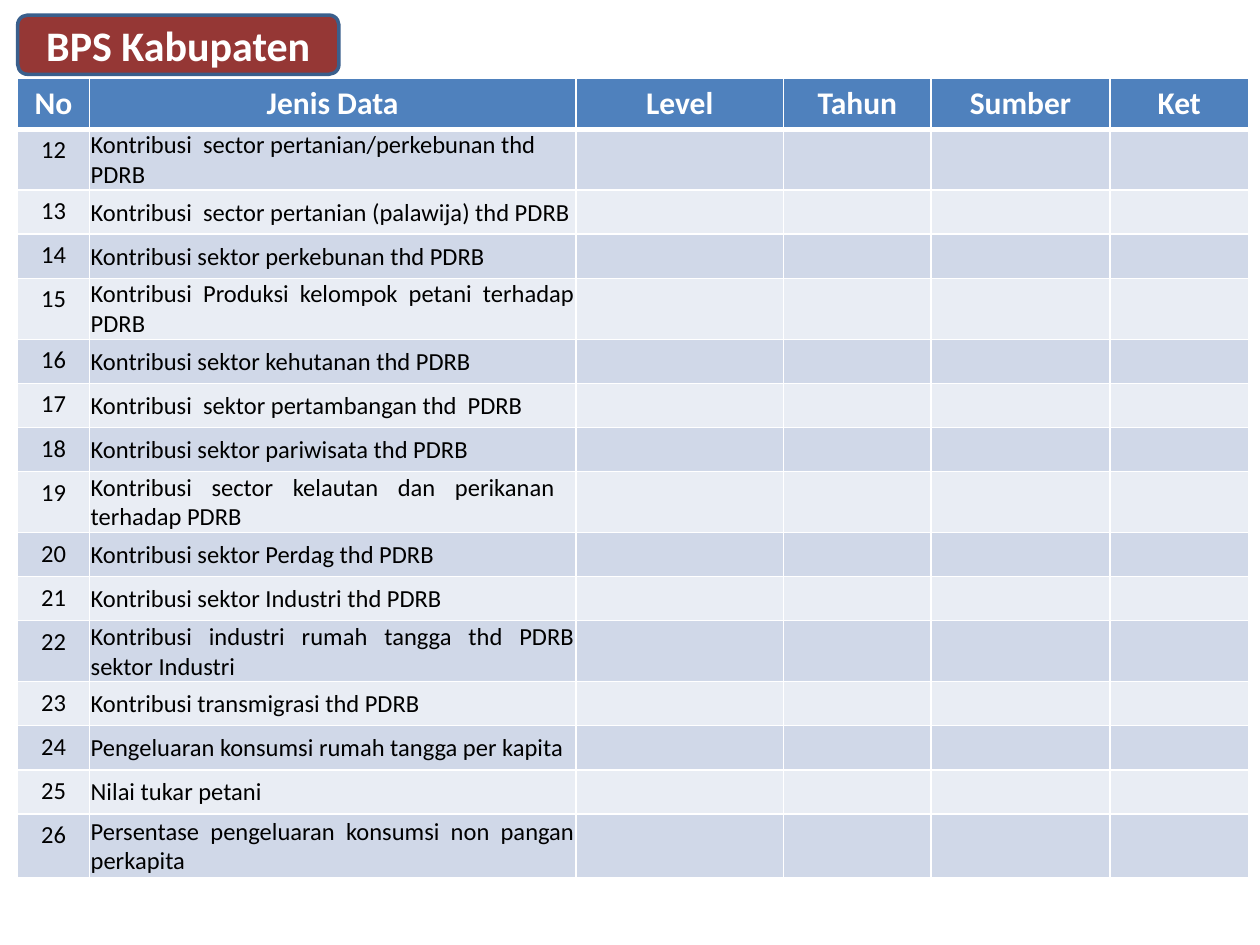
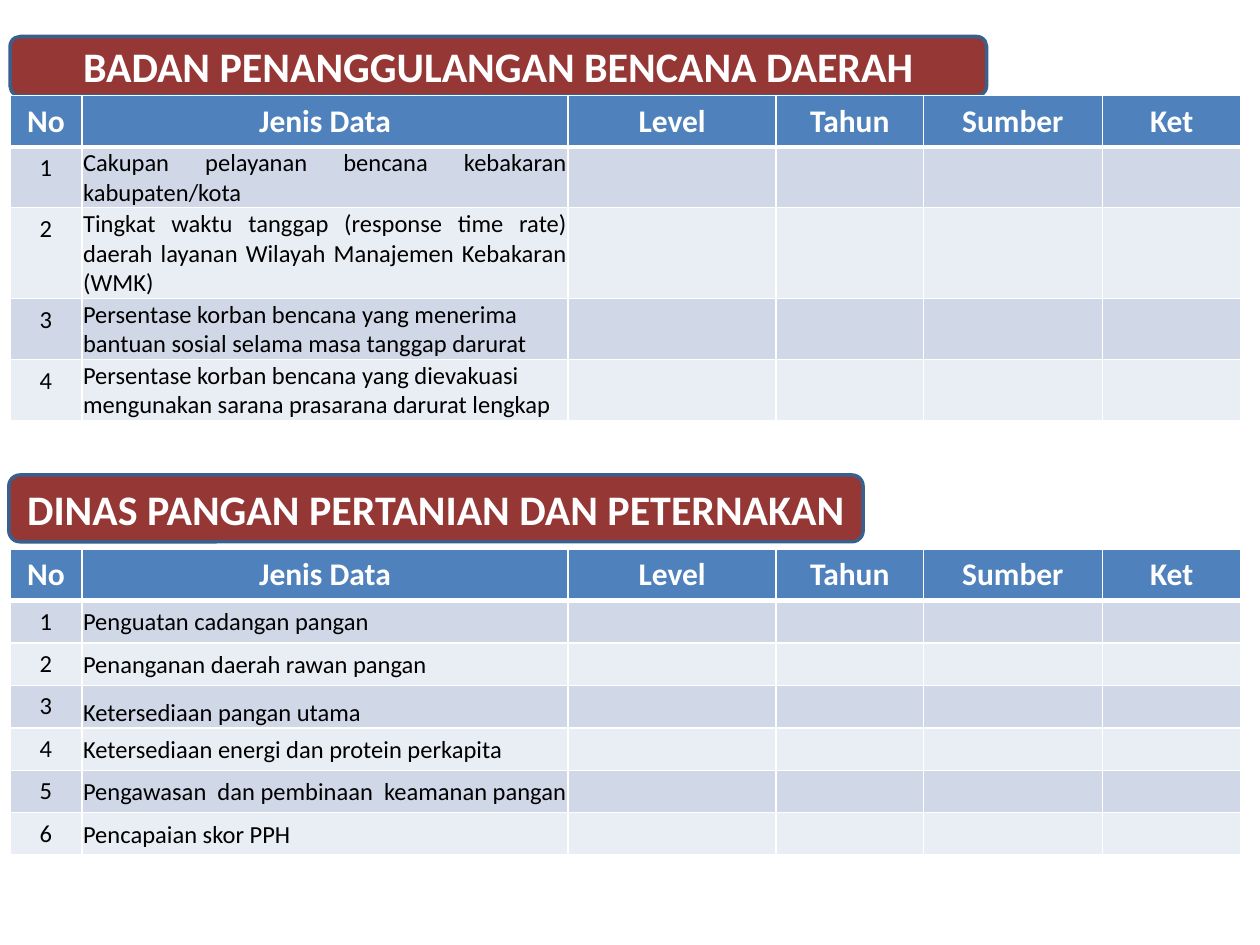
"""Build two slides of regional data tables, each headed by a rounded title band."""
from lxml import etree
from pptx import Presentation
from pptx import util as u
from pptx.dml import color
from pptx.enum import shapes, text
from pptx.oxml import ns

COLOURS = {
    "band": "953735", "band_line": "3A5F8C", "header": "4F81BD",
    "odd": "D0D8E8", "even": "E9EDF4", "white": "FFFFFF", "black": "000000",
}
FONT = "Calibri"
HEADINGS = ["No", "Jenis Data", "Level", "Tahun", "Sumber", "Ket"]
COLUMN_WIDTHS = [0.57, 3.86, 1.65, 1.17, 1.42, 1.1]
LEFT, JUSTIFY, CENTER = text.PP_ALIGN.LEFT, text.PP_ALIGN.JUSTIFY, text.PP_ALIGN.CENTER
TOP, MIDDLE, BOTTOM = text.MSO_ANCHOR.TOP, text.MSO_ANCHOR.MIDDLE, text.MSO_ANCHOR.BOTTOM
TIGHT = {"margin_left": 0.01, "margin_top": 0.01, "margin_right": 0.01, "margin_bottom": 0}

SLIDES = [
    [
        {
            "title": "BPS Kabupaten", "band": (0.14, 0.12, 2.55, 0.47),
            "table_at": (0.14, 0.62), "header_height": 0.38, "row_height": 0.35,
            "last_height": 0.51, "first_number": 12,
            "rows": [
                ("Kontribusi  sector pertanian/perkebunan thd PDRB", LEFT),
                ("Kontribusi  sector pertanian (palawija) thd PDRB", LEFT),
                ("Kontribusi sektor perkebunan thd PDRB", JUSTIFY),
                ("Kontribusi Produksi kelompok petani terhadap PDRB", JUSTIFY),
                ("Kontribusi sektor kehutanan thd PDRB", JUSTIFY),
                ("Kontribusi  sektor pertambangan thd  PDRB", LEFT),
                ("Kontribusi sektor pariwisata thd PDRB", JUSTIFY),
                ("Kontribusi sector kelautan dan perikanan  terhadap PDRB", JUSTIFY),
                ("Kontribusi sektor Perdag thd PDRB", JUSTIFY),
                ("Kontribusi sektor Industri thd PDRB", JUSTIFY),
                ("Kontribusi industri rumah tangga thd PDRB sektor Industri", JUSTIFY),
                ("Kontribusi transmigrasi thd PDRB", LEFT),
                ("Pengeluaran konsumsi rumah tangga per kapita", JUSTIFY),
                ("Nilai tukar petani", LEFT),
                ("Persentase pengeluaran konsumsi non pangan perkapita", JUSTIFY),
            ],
        },
    ],
    [
        {
            "title": "DINAS PANGAN PERTANIAN DAN PETERNAKAN", "band": (0.07, 3.77, 6.78, 0.53),
            "table_at": (0.08, 4.36), "header_height": 0.36, "row_height": 0.33,
            "last_height": 0.33, "first_number": 1,
            "rows": [
                ("Penguatan cadangan pangan", LEFT),
                ("Penanganan daerah rawan pangan", JUSTIFY),
                ("Ketersediaan pangan utama", LEFT, BOTTOM),
                ("Ketersediaan energi dan protein perkapita", JUSTIFY),
                ("Pengawasan  dan pembinaan  keamanan pangan", LEFT),
                ("Pencapaian skor PPH", LEFT),
            ],
        },
        {
            "title": "BADAN PENANGGULANGAN BENCANA DAERAH", "band": (0.08, 0.29, 7.75, 0.47),
            "table_at": (0.08, 0.76), "header_height": 0.36, "row_height": 0.33,
            "last_height": 0.33, "first_number": 1,
            "rows": [
                ("Cakupan pelayanan bencana kebakaran kabupaten/kota", JUSTIFY),
                ("Tingkat waktu tanggap (response time rate) daerah layanan "
                 "Wilayah Manajemen Kebakaran (WMK)", JUSTIFY),
                ("Persentase korban bencana yang menerima bantuan sosial "
                 "selama masa tanggap darurat", LEFT),
                ("Persentase korban bencana yang dievakuasi mengunakan "
                 "sarana prasarana darurat lengkap", LEFT),
            ],
        },
    ],
]


def rgb(name):
    return color.RGBColor.from_string(COLOURS[name])


def write(frame, words, size, ink, bold, align):
    para = frame.paragraphs[0]
    para.alignment = align
    span = para.add_run()
    span.text = words
    for key, value in {"name": FONT, "size": u.Pt(size), "bold": bold}.items():
        setattr(span.font, key, value)
    span.font.color.rgb = rgb(ink)


def add_band(page, title, place):
    band = page.shapes.add_shape(shapes.MSO_SHAPE.ROUNDED_RECTANGLE, *map(u.Inches, place))
    band.shadow.inherit = False
    band.fill.solid()
    band.fill.fore_color.rgb = rgb("band")
    band.line.color.rgb = rgb("band_line")
    band.line.width = u.Pt(2)
    band.text_frame.word_wrap = True
    band.text_frame.vertical_anchor = MIDDLE
    write(band.text_frame, title, 24, "white", True, CENTER)


def style_cell(cell, fill, top=1, bottom=1):
    properties = cell._tc.get_or_add_tcPr()
    for side, points in {"L": 1, "R": 1, "T": top, "B": bottom}.items():
        line = etree.SubElement(properties, ns.qn(f"a:ln{side}"), w=str(u.Pt(points)))
        solid = etree.SubElement(line, ns.qn("a:solidFill"))
        etree.SubElement(solid, ns.qn("a:srgbClr"), val=COLOURS["white"])
    cell.fill.solid()
    cell.fill.fore_color.rgb = rgb(fill)


def fill_row(table, index, number, label, align, anchor=MIDDLE):
    for column in range(len(HEADINGS)):
        cell = table.cell(index, column)
        style_cell(cell, "odd" if index % 2 else "even", top=3 if index == 1 else 1)
        if column == 0:
            write(cell.text_frame, str(number), 14, "black", False, CENTER)
        elif column == 1:
            for margin, length in TIGHT.items():
                setattr(cell, margin, u.Inches(length))
            cell.vertical_anchor = anchor
            write(cell.text_frame, label, 14, "black", False, align)
        else:
            ending = etree.SubElement(cell.text_frame.paragraphs[0]._p, ns.qn("a:endParaRPr"))
            ending.set("sz", "1400")


def add_data_table(page, section):
    rows = section["rows"]
    heights = [section["header_height"], *[section["row_height"]] * (len(rows) - 1),
               section["last_height"]]
    size = (sum(COLUMN_WIDTHS), sum(heights))
    table = page.shapes.add_table(len(heights), len(HEADINGS),
                                  *map(u.Inches, section["table_at"] + size)).table
    for column, width in zip(table.columns, COLUMN_WIDTHS):
        column.width = u.Inches(width)
    for row, height in zip(table.rows, heights):
        row.height = u.Inches(height)
    for column, heading in enumerate(HEADINGS):
        cell = table.cell(0, column)
        style_cell(cell, "header", bottom=3)
        write(cell.text_frame, heading, 18, "white", True, CENTER)
    for index, row in enumerate(rows, start=1):
        fill_row(table, index, section["first_number"] + index - 1, *row)


def main():
    deck = Presentation()
    deck.slide_width, deck.slide_height = u.Inches(10), u.Inches(7.5)
    for sections in SLIDES:
        page = deck.slides.add_slide(deck.slide_layouts[6])
        for section in sections:
            add_band(page, section["title"], section["band"])
            add_data_table(page, section)
    deck.save("out.pptx")


if __name__ == "__main__":
    main()
